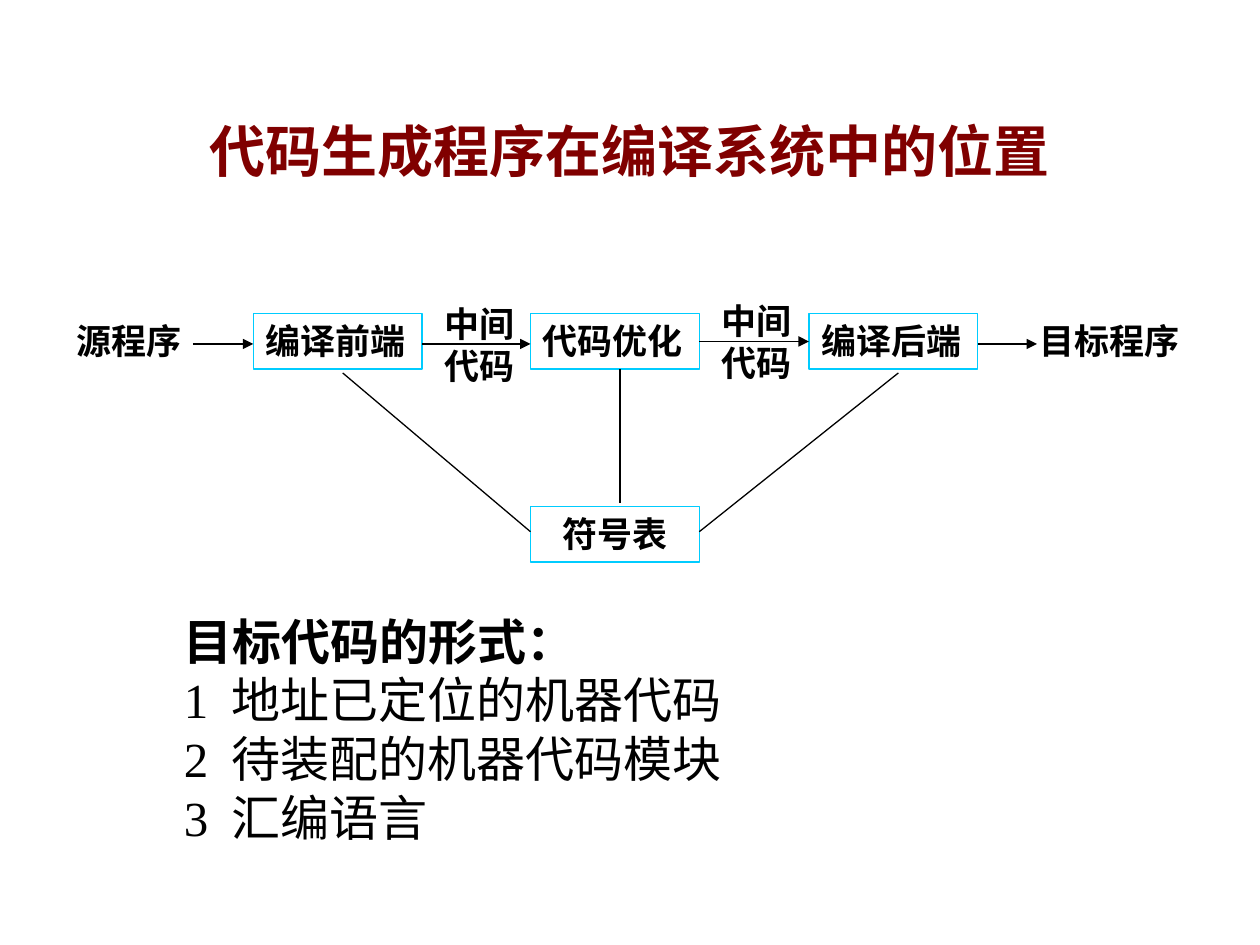
from lxml.etree import SubElement
from pptx import Presentation
from pptx.dml.color import RGBColor
from pptx.enum.shapes import MSO_CONNECTOR as Connector, MSO_SHAPE as Shape
from pptx.enum.text import MSO_ANCHOR as Anchor, MSO_AUTO_SIZE as AutoSize, PP_ALIGN as Align
from pptx.oxml.ns import qn
from pptx.util import Pt

PX = 9144  # 100 px to the inch
COLORS = {"title": "800000", "text": "000000", "border": "00CCFF", "line": "000000"}
LATIN, CJK = "Times New Roman", "Noto Sans CJK SC"


def write(para, text, size, color="text", latin=LATIN, bold=True, align=Align.LEFT):
    """Fill a paragraph with one formatted run on a line 1.2 times its size."""
    para.alignment = align
    para.line_spacing = Pt(size * 1.2)
    para.space_before = para.space_after = Pt(0)
    span = para.add_run()
    span.text = text
    for name, value in {"size": Pt(size), "bold": bold, "name": latin}.items():
        setattr(span.font, name, value)
    span.font.color.rgb = RGBColor.from_string(COLORS[color])
    SubElement(span.font._element, qn("a:ea"), typeface=CJK)


def set_frame(frame, anchor, side=0, top=0):
    margins = {"margin_left": side, "margin_right": side, "margin_top": top, "margin_bottom": top}
    for name, value in margins.items():
        setattr(frame, name, value * PX)
    frame.word_wrap = True
    frame.vertical_anchor = anchor


deck = Presentation()
deck.slide_width, deck.slide_height = 1000 * PX, 750 * PX
page = deck.slides.add_slide(deck.slide_layouts[1])
title, body = page.placeholders

# Title and list
for holder, place in ((title, (75, 67, 850, 104)), (body, (146, 485, 688, 187))):
    holder.left, holder.top, holder.width, holder.height = [n * PX for n in place]
set_frame(title.text_frame, Anchor.MIDDLE, 10, 5)
write(title.text_frame.paragraphs[0], "代码生成程序在编译系统中的位置", 32, "title",
      align=Align.CENTER)

set_frame(body.text_frame, Anchor.TOP)
target_forms = ["目标代码的形式：", "1\t地址已定位的机器代码", "2\t待装配的机器代码模块", "3\t汇编语言"]
for index, text in enumerate(target_forms):
    para = body.text_frame.add_paragraph() if index else body.text_frame.paragraphs[0]
    heading = index == 0
    write(para, text, 28, latin=CJK if heading else LATIN, bold=heading)
    props = para._p.get_or_add_pPr()
    props.set("marL", str(38 * PX))
    props.set("indent", str(-38 * PX))
    SubElement(props, qn("a:buNone"))

# Stages of the compiler and the symbol table
stages = [
    ("编译前端", 201, 249, Align.LEFT),
    ("代码优化", 421, 249, Align.LEFT),
    ("编译后端", 642, 249, Align.LEFT),
    ("符号表", 421, 402, Align.CENTER),
]
for text, left, top, align in stages:
    box = page.shapes.add_shape(Shape.RECTANGLE, left * PX, top * PX, 134 * PX, 44 * PX)
    box.shadow.inherit = False
    box.fill.background()
    box.line.color.rgb = RGBColor.from_string(COLORS["border"])
    box.line.width = Pt(0.75)
    set_frame(box.text_frame, Anchor.TOP, 10, 5)
    write(box.text_frame.paragraphs[0], text, 20, align=align)

# Programs and intermediate code between the stages
labels = [
    ("源程序", 51, 249, 110, 44),
    ("目标程序", 815, 249, 142, 44),
    ("中间代码", 343, 235, 87, 77),
    ("中间代码", 563, 233, 87, 77),
]
for text, *place in labels:
    box = page.shapes.add_textbox(*[n * PX for n in place])
    set_frame(box.text_frame, Anchor.TOP, 10, 5)
    box.text_frame.auto_size = AutoSize.SHAPE_TO_FIT_TEXT
    write(box.text_frame.paragraphs[0], text, 20)

# Arrows of the data flow, then plain links to the symbol table
flows = [(153, 273, 201, 273), (335, 273, 421, 273), (555, 271, 642, 271), (776, 273, 823, 273)]
links = [(272, 296, 421, 422), (713, 296, 555, 422), (492, 293, 492, 399)]
for ends in flows + links:
    line = page.shapes.add_connector(Connector.STRAIGHT, *[n * PX for n in ends])
    line.line.color.rgb = RGBColor.from_string(COLORS["line"])
    line.line.width = Pt(0.75)
    if ends in flows:
        SubElement(line.line._get_or_add_ln(), qn("a:tailEnd"), type="triangle")
    SubElement(line._element.spPr, qn("a:effectLst"))

deck.save("out.pptx")
